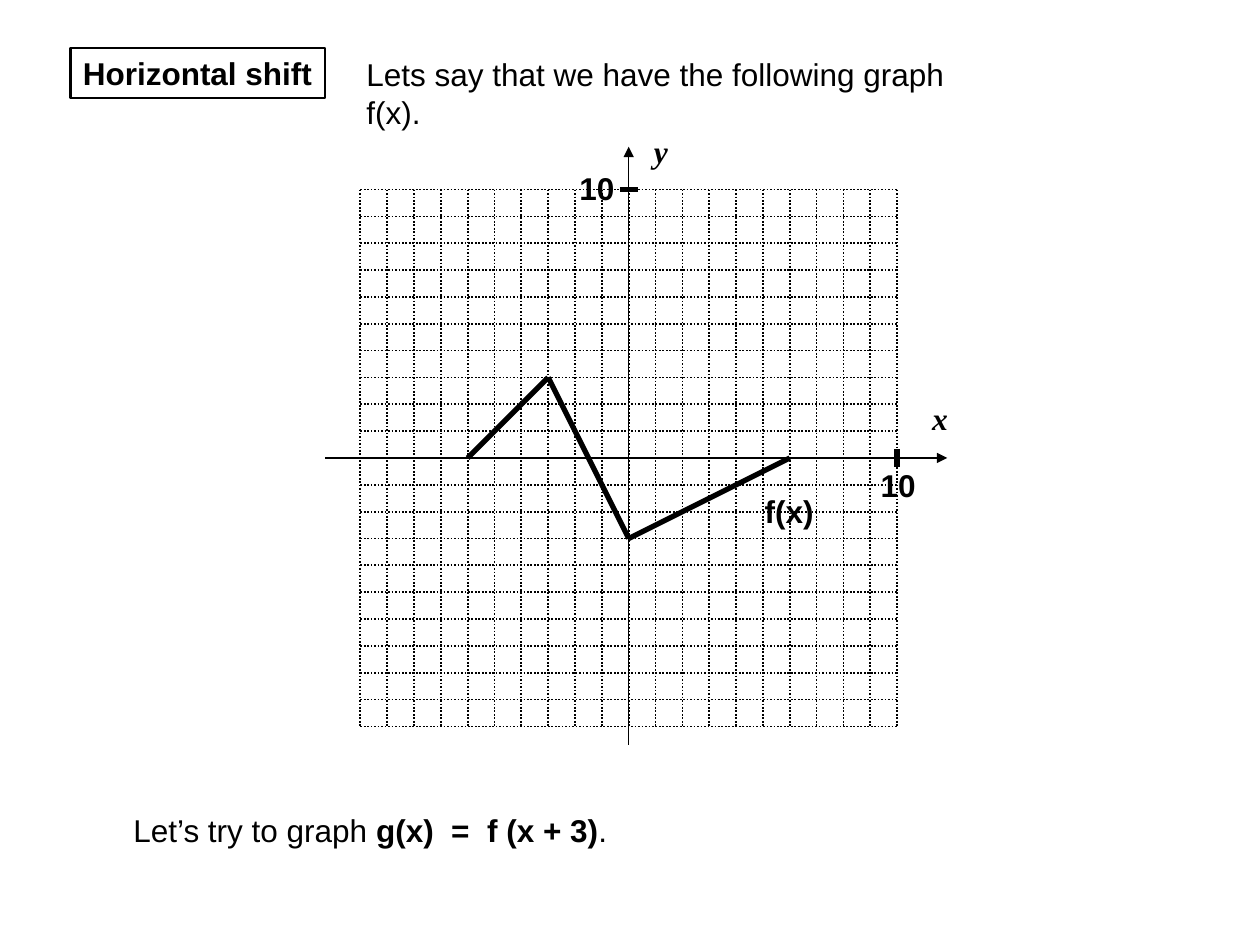
from dataclasses import dataclass
from itertools import pairwise
from typing import Optional

from lxml.etree import SubElement
from pptx import Presentation
from pptx.dml.color import RGBColor as Rgb
from pptx.enum.dml import MSO_LINE as Dash
from pptx.enum.shapes import MSO_CONNECTOR as Conn, MSO_SHAPE as Kind
from pptx.enum.text import MSO_ANCHOR as Anchor, MSO_AUTO_SIZE as Fit, PP_ALIGN as Align
from pptx.oxml.ns import qn
from pptx.util import Inches, Pt

INK = {"black": "000000"}
COLS, ROWS = 100, 75
UNIT = 0.1
SPAN = 10
MID = (49.9, 36.35)
STEP = 2.13
TICK = 0.33


@dataclass
class Run:
    text: str
    bold: bool = False
    slant: bool = False
    font: str = "Arial"


@dataclass
class Label:
    col: float
    row: float
    wide: float
    runs: list[Run]
    frame: bool = False


@dataclass
class Stroke:
    start: tuple[float, float]
    end: tuple[float, float]
    width: float
    dash: Optional[Dash] = None
    arrow: bool = False


def size(units: float) -> Inches:
    return Inches(units * UNIT)


def place(point: tuple[float, float]) -> tuple[Inches, Inches]:
    x, y = point
    return size(MID[0] + x * STEP), size(MID[1] - y * STEP)


def draw_line(shapes, item: Stroke) -> None:
    link = shapes.add_connector(Conn.STRAIGHT, *place(item.start), *place(item.end))
    link.line.color.rgb = Rgb.from_string(INK["black"])
    link.line.width = Pt(item.width)
    if item.dash:
        link.line.dash_style = item.dash
    props = link.element.spPr
    if item.arrow:
        SubElement(props.find(qn("a:ln")), qn("a:headEnd"), type="triangle")
    SubElement(props, qn("a:effectLst"))


def draw_text(shapes, item: Label) -> None:
    area = size(item.col), size(item.row), size(item.wide), size(4)
    if item.frame:
        box = shapes.add_shape(Kind.RECTANGLE, *area)
        box.shadow.inherit = False
        box.fill.background()
        box.line.color.rgb = Rgb.from_string(INK["black"])
        box.line.width = Pt(1.5)
    else:
        box = shapes.add_textbox(*area)
    body = box.text_frame
    body.word_wrap = False
    body.auto_size = Fit.SHAPE_TO_FIT_TEXT
    body.vertical_anchor = Anchor.TOP
    para = body.paragraphs[0]
    para.alignment = Align.LEFT
    for part in item.runs:
        run = para.add_run()
        run.text = part.text
        font = run.font
        font.name, font.size = part.font, Pt(18)
        font.bold, font.italic = part.bold, part.slant
        font.color.rgb = Rgb.from_string(INK["black"])


def draw_group(shapes, items: list[Stroke]) -> None:
    group = shapes.add_group_shape()
    for item in items:
        draw_line(group.shapes, item)


def axis(name: str) -> list[Run]:
    return [Run(name, True, True, "Times New Roman")]


CURVE = [(-6, 0), (-3, 3), (0, -3), (6, 0)]
MARKS = range(-SPAN, SPAN + 1)
GRID = [Stroke((n, SPAN), (n, -SPAN), 1, Dash.ROUND_DOT) for n in MARKS]
GRID += [Stroke((-SPAN, n), (SPAN, n), 1, Dash.ROUND_DOT) for n in MARKS]
AXES = [
    Stroke((0, 11.6), (0, -10.7), 0.75, arrow=True),
    Stroke((11.87, 0), (-11.32, 0), 0.75, arrow=True),
]
TICKS = [
    Stroke((SPAN, TICK), (SPAN, -TICK), 3),
    Stroke((-TICK, SPAN), (TICK, SPAN), 3),
]
TITLES = [
    Label(5.6, 3.8, 20.2, [Run("Horizontal shift", True)], True),
    Label(28.1, 3.9, 52.8, [Run("Lets say that we have the following graph f(x).")]),
    Label(9.6, 63.9, 39.6, [
        Run("Let’s try to graph "),
        Run("g(x)  =  f (x + 3)", True),
        Run("."),
    ]),
]
NAMES = [
    Label(50.9, 10, 3.1, axis("y")),
    Label(73, 31.2, 3.2, axis("x")),
    Label(68.9, 36.5, 4.8, [Run("10", True)]),
    Label(45, 12.9, 4.8, [Run("10", True)]),
    Label(59.7, 38.6, 5.9, [Run("f(x)", True)]),
]


def main() -> None:
    deck = Presentation()
    deck.slide_width, deck.slide_height = size(COLS), size(ROWS)
    shapes = deck.slides.add_slide(deck.slide_layouts[6]).shapes
    for item in TITLES:
        draw_text(shapes, item)
    draw_group(shapes, [Stroke(a, b, 3) for a, b in pairwise(CURVE)])
    draw_group(shapes, GRID)
    for item in AXES + TICKS:
        draw_line(shapes, item)
    for item in NAMES:
        draw_text(shapes, item)
    deck.save("out.pptx")


if __name__ == "__main__":
    main()
